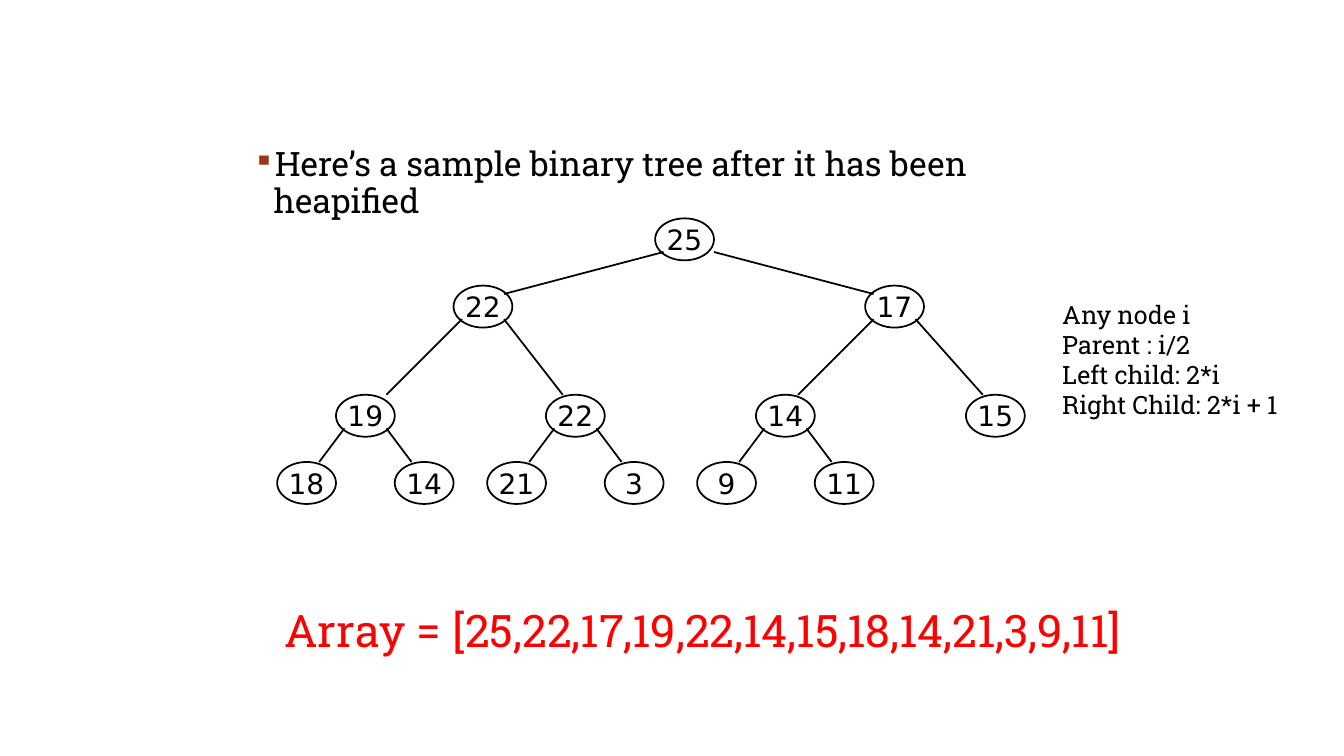
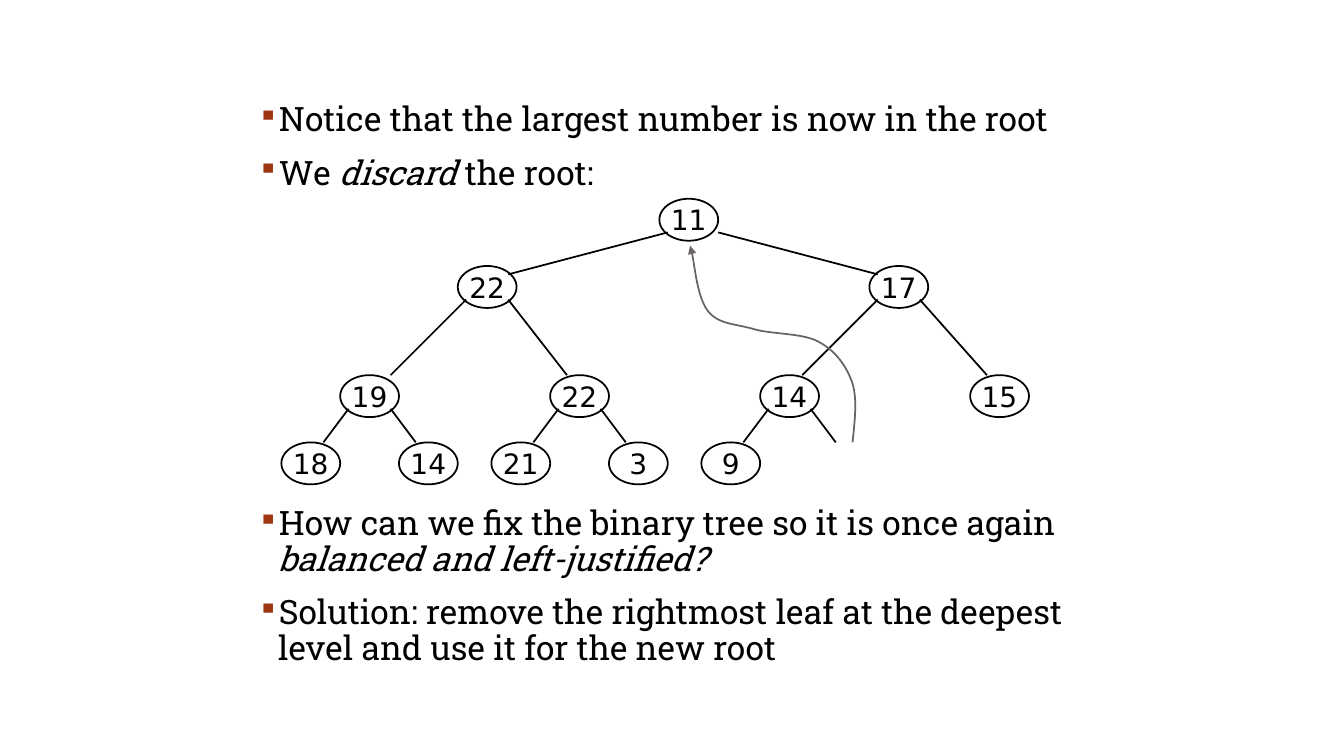
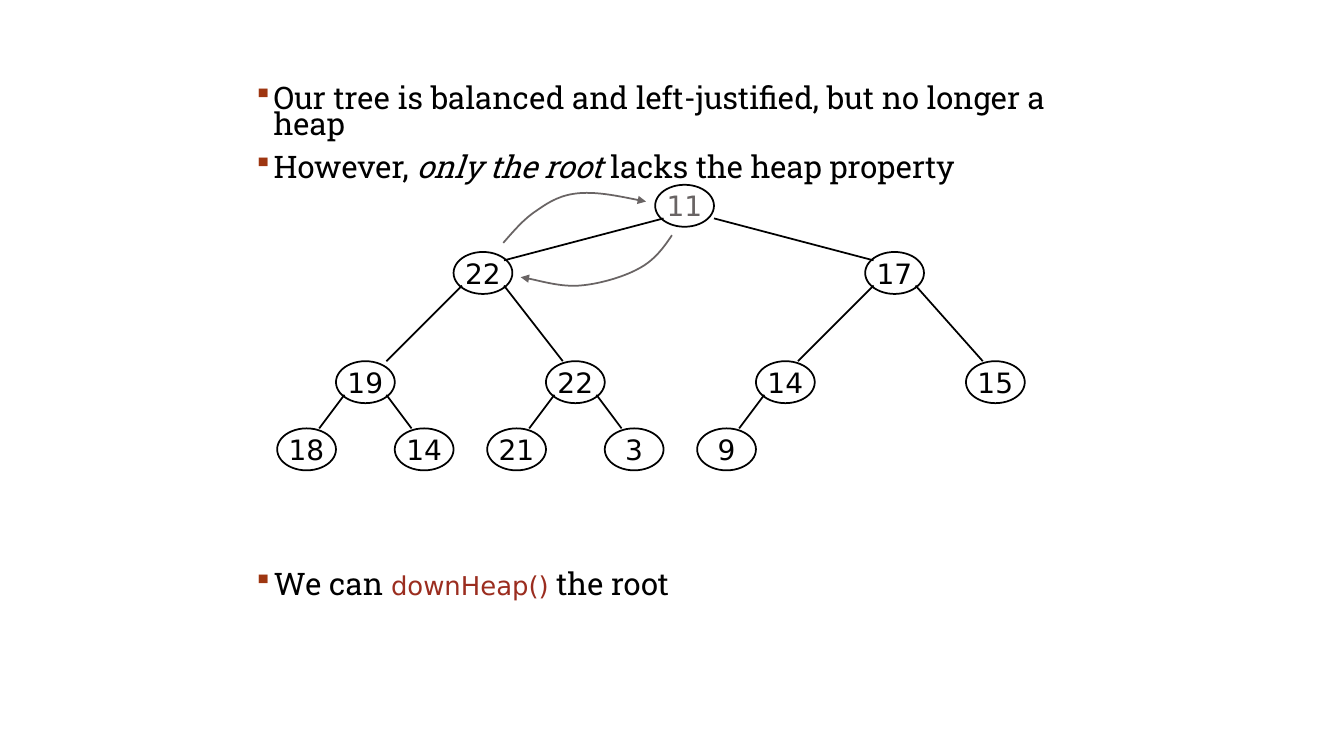
import lxml.etree
import pptx
import pptx.dml.color
import pptx.enum.shapes
import pptx.enum.text
import pptx.oxml.ns
import pptx.util

Pt = pptx.util.Pt
qn = pptx.oxml.ns.qn

BLACK, GRAY, RED, RUST = "000000", "696464", "FF0000", "9B2D1F"
BULLET_COLOR = "9E3611"
TEXT_FONT, NODE_FONT = "Roboto Slab", "DejaVu Sans"
ITALIC = {"italic": True}

NODE_WIDTH, NODE_HEIGHT = 42, 30
LEAF_SPREAD = 42
UPPER_NODES = [(270, 0), (126, 48), (420, 48)]
THIRD_LEVEL = [(42 + 150 * i, 126) for i in range(4)]
LEAVES = [(x + side * LEAF_SPREAD, 174) for x, _ in THIRD_LEVEL for side in (-1, 1)]
NODE_PLACES = UPPER_NODES + THIRD_LEVEL + LEAVES

# Offsets inside the parent (start) and the child (end) where an edge attaches.
LEFT_EDGE, RIGHT_EDGE = ((6, 24), (30, 0)), ((36, 24), (12, 0))
SPECIAL_EDGES = {
    1: ((6, 24), (36, 6)),
    2: ((42, 24), (6, 6)),
    3: ((6, 24), (36, 0)),
}


def rgb(color):
    return pptx.dml.color.RGBColor.from_string(color)


def add_child(parent, tag, **attributes):
    return lxml.etree.SubElement(parent, qn(tag), attributes)


class HeapDeck:
    """Holds the deck's style and the slide being filled; lengths in points."""

    def __init__(self):
        self.deck = pptx.Presentation()
        self.deck.slide_width, self.deck.slide_height = Pt(960), Pt(540)
        self.slide = None

    def new_slide(self):
        self.slide = self.deck.slides.add_slide(self.deck.slide_layouts[6])

    def add_run(self, paragraph, text, size, color=BLACK, **font_format):
        run = paragraph.add_run()
        run.text = text
        run.font.color.rgb = rgb(color)
        values = {"name": TEXT_FONT, "size": Pt(size), **font_format}
        for attribute, value in values.items():
            setattr(run.font, attribute, value)

    def text_frame(self, left, top, width, height):
        box = self.slide.shapes.add_textbox(Pt(left), Pt(top), Pt(width), Pt(height))
        box.text_frame.word_wrap = True
        return box.text_frame

    def paragraphs(self, frame, count):
        return [frame.paragraphs[0]] + [frame.add_paragraph() for _ in range(count - 1)]

    def label(self, place, lines, size, color=BLACK):
        frame = self.text_frame(*place)
        frame.auto_size = pptx.enum.text.MSO_AUTO_SIZE.SHAPE_TO_FIT_TEXT
        for paragraph, line in zip(self.paragraphs(frame, len(lines)), lines):
            self.add_run(paragraph, line, size, color)

    def bullets(self, place, items, size=24, spacing=0.9):
        """Each item is a list of (text, font format) pairs."""
        frame = self.text_frame(*place)
        for paragraph, runs in zip(self.paragraphs(frame, len(items)), items):
            paragraph.line_spacing = spacing
            paragraph.space_before = Pt(12)
            properties = paragraph._p.get_or_add_pPr()
            properties.set("marL", str(Pt(14.4)))
            properties.set("indent", str(-Pt(14.4)))
            bullet_color = add_child(properties, "a:buClr")
            add_child(bullet_color, "a:srgbClr", val=BULLET_COLOR)
            add_child(properties, "a:buSzPct", val="85000")
            add_child(properties, "a:buChar", char="▪")
            for text, font_format in runs:
                self.add_run(paragraph, text, **{"size": size, **font_format})

    def outline(self, line, color=BLACK):
        line.color.rgb = rgb(color)
        line.width = Pt(1.25)

    def node(self, shapes, left, top, value, color):
        oval = shapes.add_shape(pptx.enum.shapes.MSO_SHAPE.OVAL, Pt(left), Pt(top),
                                Pt(NODE_WIDTH), Pt(NODE_HEIGHT))
        oval.shadow.inherit = False
        oval.fill.background()
        self.outline(oval.line)
        frame = oval.text_frame
        frame.word_wrap = False
        frame.vertical_anchor = pptx.enum.text.MSO_ANCHOR.MIDDLE
        frame.paragraphs[0].alignment = pptx.enum.text.PP_ALIGN.CENTER
        self.add_run(frame.paragraphs[0], str(value), 20, color, name=NODE_FONT)

    def edge(self, shapes, start, end):
        edge = shapes.add_connector(pptx.enum.shapes.MSO_CONNECTOR.STRAIGHT,
                                    *(Pt(length) for length in (*start, *end)))
        self.outline(edge.line)
        add_child(edge._element.spPr, "a:effectLst")

    def tree(self, left, top, values, root_color=BLACK):
        """Draw a heap in array order; a None value leaves only its edge."""
        shapes = self.slide.shapes.add_group_shape().shapes
        places = [(left + x, top + y) for x, y in NODE_PLACES]
        for i, value in enumerate(values):
            if value is not None:
                self.node(shapes, *places[i], value, BLACK if i else root_color)
            if i:
                usual = LEFT_EDGE if i % 2 else RIGHT_EDGE
                offsets = SPECIAL_EDGES.get(i, usual)
                ends = [(x + dx, y + dy) for (x, y), (dx, dy)
                        in zip((places[(i - 1) // 2], places[i]), offsets)]
                self.edge(shapes, *ends)

    def curved_arrow(self, start, *points):
        """Draw Bézier curves; every three points are two controls and an end."""
        builder = self.slide.shapes.build_freeform(Pt(start[0]), Pt(start[1]))
        builder.add_line_segments([(Pt(x), Pt(y)) for x, y in points], close=False)
        arrow = builder.convert_to_shape()
        arrow.shadow.inherit = False
        arrow.fill.background()
        self.outline(arrow.line, GRAY)
        add_child(arrow.line._get_or_add_ln(), "a:tailEnd", type="triangle")
        segments = list(arrow._element.iter(qn("a:lnTo")))
        for i in range(0, len(segments), 3):
            curve = lxml.etree.Element(qn("a:cubicBezTo"))
            segments[i].addprevious(curve)
            for segment in segments[i:i + 3]:
                curve.append(segment[0])
                segment.getparent().remove(segment)


def main():
    heap = [25, 22, 17, 19, 22, 14, 15, 18, 14, 21, 3, 9, 11]
    new_root_heap = [heap[-1]] + heap[1:-1]
    deck = HeapDeck()

    deck.new_slide()
    deck.bullets((174, 102, 612, 60), [
        [("Here’s a sample binary tree after it has been heapified", {})],
    ])
    deck.tree(198, 156, heap)
    deck.label((196, 427, 688, 46),
               ["Array = [25,22,17,19,22,14,15,18,14,21,3,9,11]"], 32, RED)
    deck.label((751.7, 210, 171.5, 94.5),
               ["Any node i", "Parent : i/2", "Left child: 2*i", "Right Child: 2*i + 1"], 18)

    deck.new_slide()
    deck.bullets((177, 70, 612, 78), [
        [("Notice that the largest number is now in the root", {})],
        [("We ", {}), ("discard", ITALIC), (" the root:", {})],
    ])
    deck.bullets((177, 358, 612, 132), [
        [("How can we fix the binary tree so it is once again ", {}),
         ("balanced and left-justified?", ITALIC)],
        [("Solution: remove the rightmost leaf at the deepest level "
          "and use it for the new root", {})],
    ])
    deck.tree(201, 142, new_root_heap + [None])
    deck.curved_arrow(
        (609, 316),
        (610.5, 301), (612.5, 286), (609, 274),
        (605, 262), (597, 250.5), (584.5, 244),
        (572.5, 237.5), (549.5, 239), (536.5, 234.5),
        (522.5, 231), (512.5, 231), (505.5, 222),
        (498, 211.5), (496, 185), (493, 175.5))

    deck.new_slide()
    compact = {"size": 22.2, "spacing": 0.7}
    deck.bullets((174, 60, 612, 78), [
        [("Our tree is balanced and left-justified, but no longer a heap", {})],
        [("However, ", {}), ("only the root", ITALIC), (" lacks the heap property", {})],
    ], **compact)
    deck.bullets((174, 407, 612, 114), [
        [("We can ", {}),
         ("downHeap()", {"size": 18.5, "name": NODE_FONT, "color": RUST}),
         (" the root", {})],
    ], **compact)
    deck.tree(198, 132, new_root_heap, GRAY)
    deck.curved_arrow(
        (359.5, 173.5),
        (367, 165), (374.5, 156), (384, 150),
        (392.5, 144), (401, 139), (414, 138),
        (427, 137), (444, 140.5), (461.5, 144))
    deck.curved_arrow(
        (480, 168),
        (474, 177), (467.5, 186), (456, 192),
        (445, 198), (427.5, 203), (414, 204),
        (400.5, 205), (378, 198.5), (372, 198))

    deck.deck.save("out.pptx")


if __name__ == "__main__":
    main()
